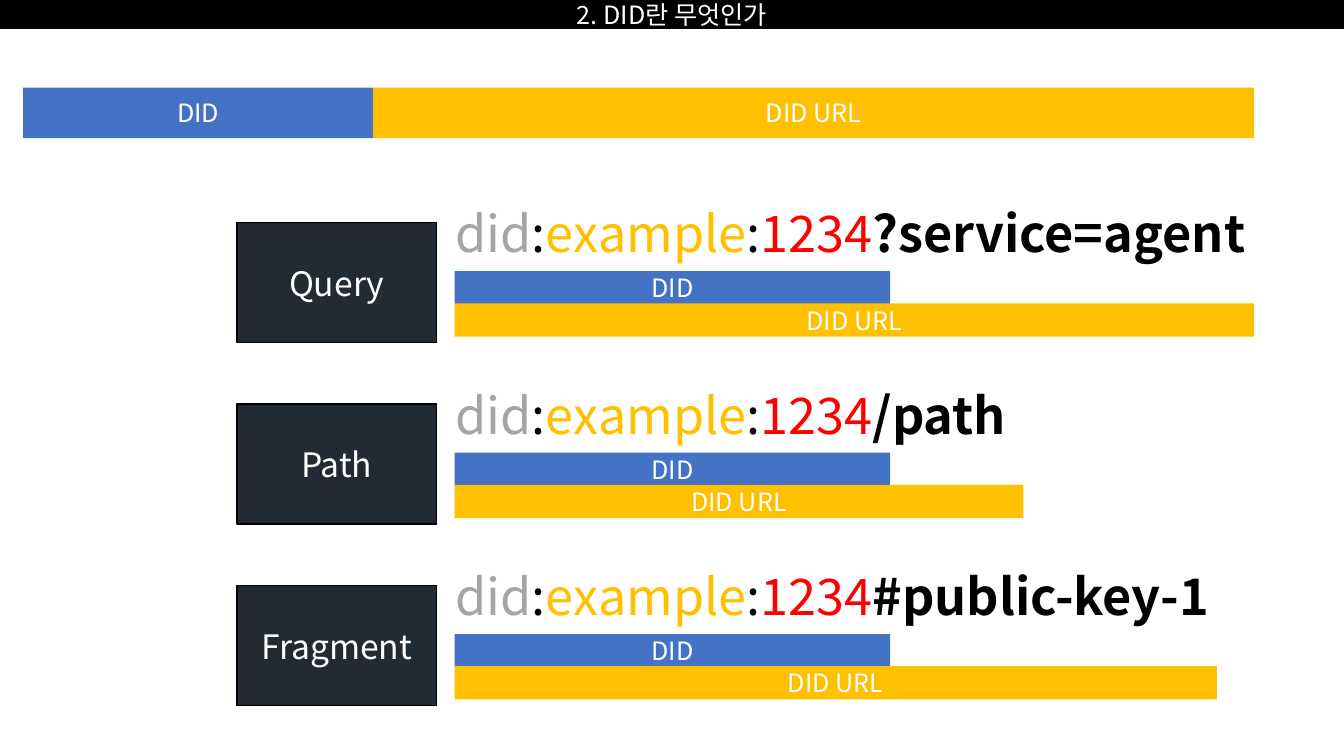
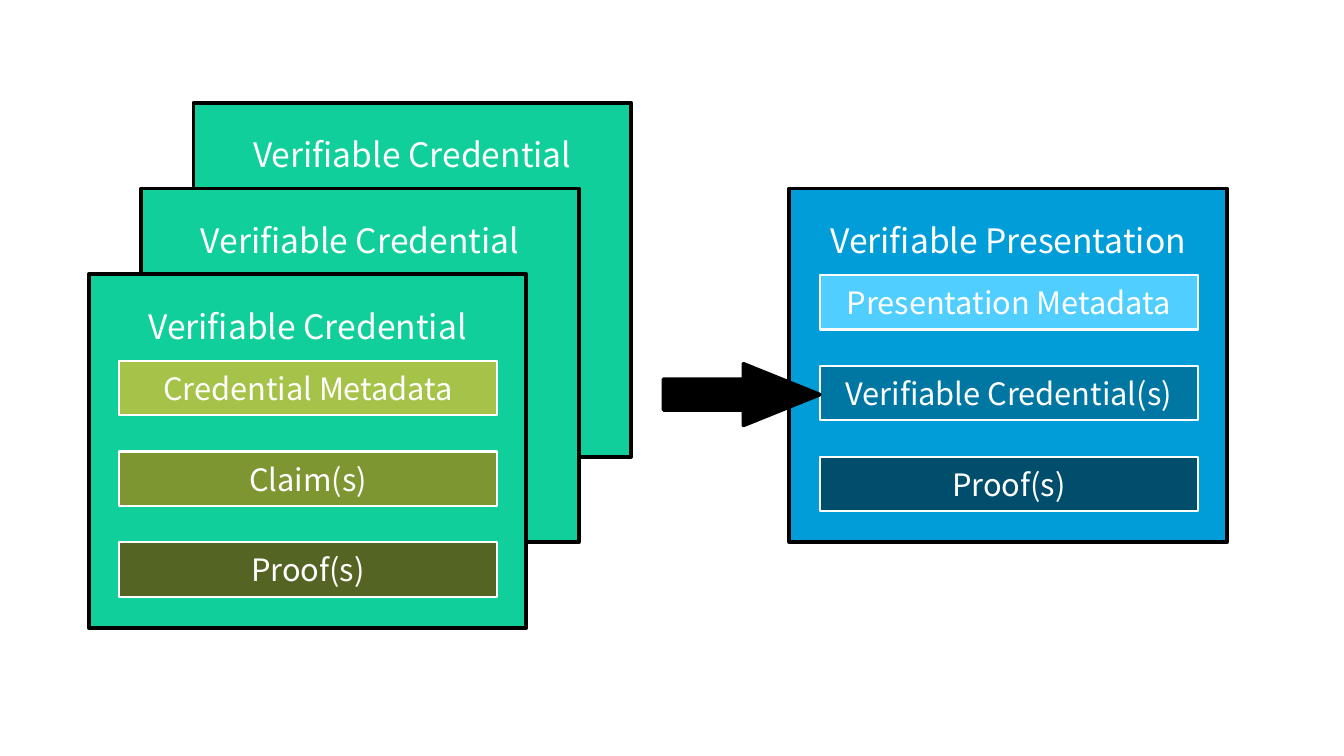
from dataclasses import dataclass
from typing import Optional

import lxml.etree
import pptx
import pptx.dml.color
import pptx.enum.shapes
import pptx.enum.text
import pptx.oxml.ns
import pptx.util

Inches = pptx.util.Inches
RGBColor = pptx.dml.color.RGBColor
Shape = pptx.enum.shapes.MSO_SHAPE
Align = pptx.enum.text.PP_ALIGN
Anchor = pptx.enum.text.MSO_ANCHOR

FONT = "Noto Sans CJK KR"
WHITE = RGBColor(0xFF, 0xFF, 0xFF)
BLACK = RGBColor(0x00, 0x00, 0x00)
GRAY = RGBColor(0xA5, 0xA5, 0xA5)
RED = RGBColor(0xFF, 0x00, 0x00)
BLUE = RGBColor(0x44, 0x72, 0xC4)
AMBER = RGBColor(0xFF, 0xC0, 0x00)
NAVY = RGBColor(0x22, 0x2A, 0x35)
GREEN = RGBColor(0x10, 0xCF, 0x9B)
LIGHT_OLIVE = RGBColor(0xA5, 0xC2, 0x49)
OLIVE = RGBColor(0x7E, 0x96, 0x32)
DARK_OLIVE = RGBColor(0x54, 0x64, 0x22)
AZURE = RGBColor(0x00, 0x9D, 0xD9)
LIGHT_AZURE = RGBColor(0x4F, 0xCE, 0xFF)
DEEP_AZURE = RGBColor(0x00, 0x76, 0xA3)
DARK_AZURE = RGBColor(0x00, 0x4E, 0x6C)

SLIDE_WIDTH, SLIDE_HEIGHT = 13.33, 7.5
TITLE_ONLY, BLANK = 5, 6


@dataclass(frozen=True)
class Box:
    left: float
    top: float
    width: float
    height: float

    def lengths(self) -> tuple:
        return tuple(Inches(v) for v in (self.left, self.top, self.width, self.height))


@dataclass(frozen=True)
class Outline:
    color: RGBColor
    width: float


@dataclass(frozen=True)
class UrlExample:
    label: str
    suffix: str
    url_width: float


@dataclass(frozen=True)
class Section:
    text: str
    fill: RGBColor


@dataclass(frozen=True)
class Card:
    left: float
    top: float
    heading: str
    fill: RGBColor
    sections: tuple = ()


THIN_BLACK = Outline(BLACK, 1)
THICK_BLACK = Outline(BLACK, 2.75)
WHITE_EDGE = Outline(WHITE, 1.5)

URL_LEFT = 4.51
DID_WIDTH = 4.32
BAR_HEIGHT = 0.33
BAR_PITCH = 0.32
EXAMPLE_TOP, EXAMPLE_PITCH = 2.21, 1.8
URL_EXAMPLES = (
    UrlExample("Query", "?service=agent", 7.93),
    UrlExample("Path", "/path", 5.64),
    UrlExample("Fragment", "#public-key-1", 7.56),
)

CARD_WIDTH, CARD_HEIGHT = 4.34, 3.51
HEADING_INSET = 0.31
SECTION_WIDTH, SECTION_HEIGHT = 3.75, 0.54
SECTION_LEFT, SECTION_TOP, SECTION_PITCH = 0.3, 0.86, 0.9
STACK_LEFT, STACK_TOP, STACK_SHIFT_X, STACK_SHIFT_Y = 0.88, 2.72, 0.52, 0.85
PRESENTATION_CARD = Card(7.83, 1.87, "Verifiable Presentation", AZURE, (
    Section("Presentation Metadata", LIGHT_AZURE),
    Section("Verifiable Credential(s)", DEEP_AZURE),
    Section("Proof(s)", DARK_AZURE),
))
CREDENTIAL_SECTIONS = (
    Section("Credential Metadata", LIGHT_OLIVE),
    Section("Claim(s)", OLIVE),
    Section("Proof(s)", DARK_OLIVE),
)


def add_run(paragraph, text: str, size: float, color: RGBColor = WHITE, bold: bool = False) -> None:
    run = paragraph.add_run()
    run.text = text
    run.font.size = pptx.util.Pt(size)
    run.font.bold = bold
    run.font.color.rgb = color
    run.font.name = FONT
    properties = run._r.get_or_add_rPr()
    lxml.etree.SubElement(properties, pptx.oxml.ns.qn("a:ea"), typeface=FONT)


def style_shape(shape, fill: RGBColor, outline: Optional[Outline] = None) -> None:
    shape.fill.solid()
    shape.fill.fore_color.rgb = fill
    if outline is None:
        shape.line.fill.background()
    else:
        shape.line.color.rgb = outline.color
        shape.line.width = pptx.util.Pt(outline.width)


def write_centered(shape, text: str, size: float) -> None:
    frame = shape.text_frame
    frame.word_wrap = True
    frame.vertical_anchor = Anchor.MIDDLE
    paragraph = frame.paragraphs[0]
    paragraph.alignment = Align.CENTER
    add_run(paragraph, text, size)


def add_block(slide, box: Box, fill: RGBColor, text: str = "", size: float = 18,
              outline: Optional[Outline] = None, preset=Shape.RECTANGLE):
    shape = slide.shapes.add_shape(preset, *box.lengths())
    shape.shadow.inherit = False
    style_shape(shape, fill, outline)
    if text:
        write_centered(shape, text, size)
    return shape


def add_title_band(slide, text: str) -> None:
    title = slide.shapes.title
    title.left, title.top, title.width, title.height = Box(0, 0, SLIDE_WIDTH, 0.28).lengths()
    style_shape(title, BLACK, THIN_BLACK)
    title.text_frame.auto_size = pptx.enum.text.MSO_AUTO_SIZE.NONE
    write_centered(title, text, 18)


def add_url_text(slide, top: float, suffix: str) -> None:
    text_box = slide.shapes.add_textbox(*Box(4.42, top, 8.8, 0.71).lengths())
    text_box.text_frame.word_wrap = True
    paragraph = text_box.text_frame.paragraphs[0]
    for text, color in (("did", GRAY), (":", BLACK), ("example", AMBER), (":", BLACK), ("1234", RED)):
        add_run(paragraph, text, 36, color)
    add_run(paragraph, suffix, 36, BLACK, bold=True)


def add_url_example(slide, top: float, example: UrlExample) -> None:
    add_block(slide, Box(2.35, top, 1.98, 1.19), NAVY, example.label, 24, THIN_BLACK)
    add_url_text(slide, top - 0.25, example.suffix)
    bars = (("DID", DID_WIDTH, BLUE), ("DID URL", example.url_width, AMBER))
    for index, (text, width, fill) in enumerate(bars):
        bar_top = top + 0.48 + index * BAR_PITCH
        add_block(slide, Box(URL_LEFT, bar_top, width, BAR_HEIGHT), fill, text)


def add_card(slide, card: Card) -> None:
    box = Box(card.left, card.top, CARD_WIDTH, CARD_HEIGHT)
    shape = add_block(slide, box, card.fill, card.heading, 24, THICK_BLACK)
    shape.text_frame.vertical_anchor = Anchor.TOP
    shape.text_frame.margin_top = Inches(HEADING_INSET)
    for index, section in enumerate(card.sections):
        section_top = card.top + SECTION_TOP + index * SECTION_PITCH
        section_box = Box(card.left + SECTION_LEFT, section_top, SECTION_WIDTH, SECTION_HEIGHT)
        add_block(slide, section_box, section.fill, section.text, 22, WHITE_EDGE)


def build_did_slide(presentation) -> None:
    slide = presentation.slides.add_slide(presentation.slide_layouts[TITLE_ONLY])
    add_title_band(slide, "2. DID란 무엇인가")
    add_block(slide, Box(0.23, 0.87, 3.47, 0.5), BLUE, "DID")
    add_block(slide, Box(3.7, 0.87, 8.74, 0.5), AMBER, "DID URL")
    for index, example in enumerate(URL_EXAMPLES):
        add_url_example(slide, EXAMPLE_TOP + index * EXAMPLE_PITCH, example)


def build_credential_slide(presentation) -> None:
    slide = presentation.slides.add_slide(presentation.slide_layouts[BLANK])
    add_card(slide, PRESENTATION_CARD)
    for depth in (2, 1, 0):
        sections = () if depth else CREDENTIAL_SECTIONS
        left = STACK_LEFT + depth * STACK_SHIFT_X
        top = STACK_TOP - depth * STACK_SHIFT_Y
        add_card(slide, Card(left, top, "Verifiable Credential", GREEN, sections))
    arrow = add_block(slide, Box(6.58, 3.61, 1.55, 0.61), BLACK,
                      outline=THICK_BLACK, preset=Shape.RIGHT_ARROW)
    arrow.adjustments[0] = 0.5
    arrow.adjustments[1] = 1.24


def main() -> None:
    presentation = pptx.Presentation()
    presentation.slide_width = Inches(SLIDE_WIDTH)
    presentation.slide_height = Inches(SLIDE_HEIGHT)
    build_did_slide(presentation)
    build_credential_slide(presentation)
    presentation.save("out.pptx")


if __name__ == "__main__":
    main()
